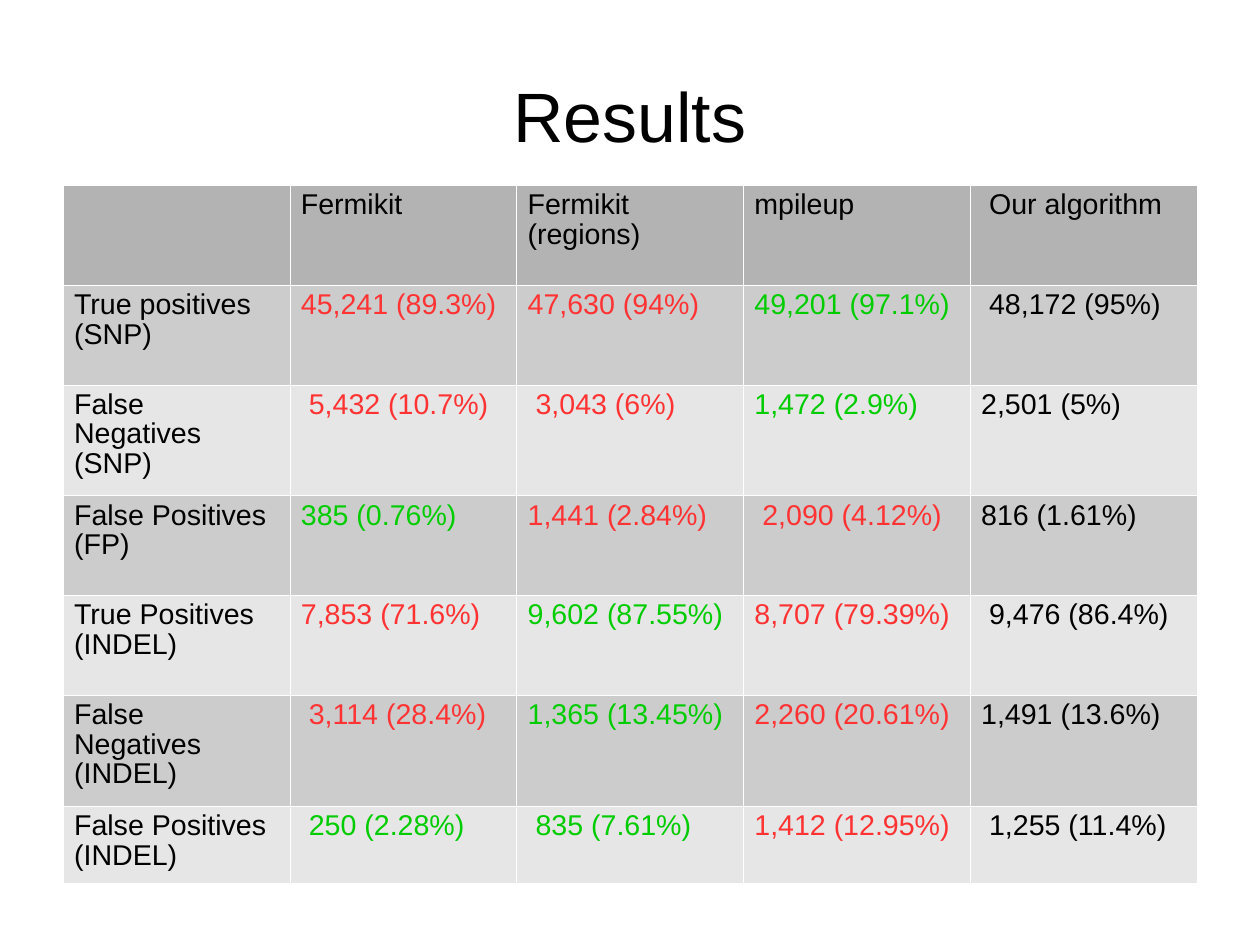
from lxml import etree
from pptx import Presentation
from pptx.dml.color import RGBColor
from pptx.enum.text import MSO_ANCHOR, PP_ALIGN
from pptx.oxml.ns import qn
from pptx.util import Pt

MIDDLE = MSO_ANCHOR.MIDDLE
CENTER = PP_ALIGN.CENTER

BLACK = RGBColor(0x00, 0x00, 0x00)
WHITE = RGBColor(0xFF, 0xFF, 0xFF)
RED = RGBColor(0xFF, 0x33, 0x33)
GREEN = RGBColor(0x00, 0xCC, 0x00)
HEADER_GRAY = RGBColor(0xB3, 0xB3, 0xB3)
DARK_BAND = RGBColor(0xCC, 0xCC, 0xCC)
LIGHT_BAND = RGBColor(0xE6, 0xE6, 0xE6)

FONT = "Arial"
LINE_SPACING = 0.93
LEFT, WIDTH = 39.6, 714.2
TABLE_TOP = 116.7
ROW_HEIGHTS = [62.8, 62.8, 69.9, 62.8, 62.8, 69.9, 49]

HEADER = ["", "Fermikit", "Fermikit (regions)", "mpileup", " Our algorithm"]
RESULTS = [
    ["True positives (SNP)", "45,241 (89.3%)", "47,630 (94%)", "49,201 (97.1%)", " 48,172 (95%)"],
    ["False Negatives (SNP)", " 5,432 (10.7%)", " 3,043 (6%)", "1,472 (2.9%)", "2,501 (5%)"],
    ["False Positives (FP)", "385 (0.76%)", "1,441 (2.84%)", " 2,090 (4.12%)", "816 (1.61%)"],
    ["True Positives (INDEL)", "7,853 (71.6%)", "9,602 (87.55%)", "8,707 (79.39%)", " 9,476 (86.4%)"],
    ["False Negatives (INDEL)", " 3,114 (28.4%)", "1,365 (13.45%)", "2,260 (20.61%)", "1,491 (13.6%)"],
    ["False Positives (INDEL)", " 250 (2.28%)", " 835 (7.61%)", "1,412 (12.95%)", " 1,255 (11.4%)"],
]
# Colours of the three compared tools, one row per result
TOOL_COLORS = [
    [RED, RED, GREEN],
    [RED, RED, GREEN],
    [GREEN, RED, RED],
    [RED, GREEN, RED],
    [RED, GREEN, RED],
    [GREEN, GREEN, RED],
]


def add_span(para, text, size, color):
    para.line_spacing = LINE_SPACING
    span = para.add_run()
    span.text = text
    span.font.name = FONT
    span.font.size = Pt(size)
    span.font.color.rgb = color


def add_borders(cell):
    properties = cell._tc.get_or_add_tcPr()
    for side in ("lnL", "lnR", "lnT", "lnB"):
        line = etree.SubElement(properties, qn(f"a:{side}"), w=str(Pt(0.06)))
        fill = etree.SubElement(line, qn("a:solidFill"))
        etree.SubElement(fill, qn("a:srgbClr"), val=str(WHITE))


deck = Presentation()
deck.slide_width, deck.slide_height = Pt(793.7), Pt(595.28)
page = deck.slides.add_slide(deck.slide_layouts[5])

title = page.shapes.title
title.left, title.top, title.width, title.height = Pt(LEFT), Pt(23.8), Pt(WIDTH), Pt(99.4)
frame = title.text_frame
frame.margin_left = frame.margin_right = frame.margin_bottom = 0
frame.margin_top = Pt(2.9)
frame.vertical_anchor = MIDDLE
frame.word_wrap = True
frame.paragraphs[0].alignment = CENTER
add_span(frame.paragraphs[0], "Results", 44, BLACK)

rows = [HEADER] + RESULTS
colors = [[BLACK] * 5] + [[BLACK, *tools, BLACK] for tools in TOOL_COLORS]
table = page.shapes.add_table(
    len(rows), len(HEADER), Pt(LEFT), Pt(TABLE_TOP), Pt(WIDTH), Pt(sum(ROW_HEIGHTS))
).table
table.first_row = False
table.horz_banding = False
for column in table.columns:
    column.width = Pt(WIDTH / len(HEADER))

for row_index, (texts, row_colors) in enumerate(zip(rows, colors)):
    table.rows[row_index].height = Pt(ROW_HEIGHTS[row_index])
    if row_index == 0:
        band = HEADER_GRAY
    else:
        band = DARK_BAND if row_index % 2 else LIGHT_BAND
    for column_index, (text, color) in enumerate(zip(texts, row_colors)):
        cell = table.cell(row_index, column_index)
        cell.margin_left = cell.margin_right = Pt(7.1)
        cell.margin_top = cell.margin_bottom = Pt(3.6)
        add_borders(cell)
        cell.fill.solid()
        cell.fill.fore_color.rgb = band
        if text:
            add_span(cell.text_frame.paragraphs[0], text, 18, color)

deck.save("out.pptx")
